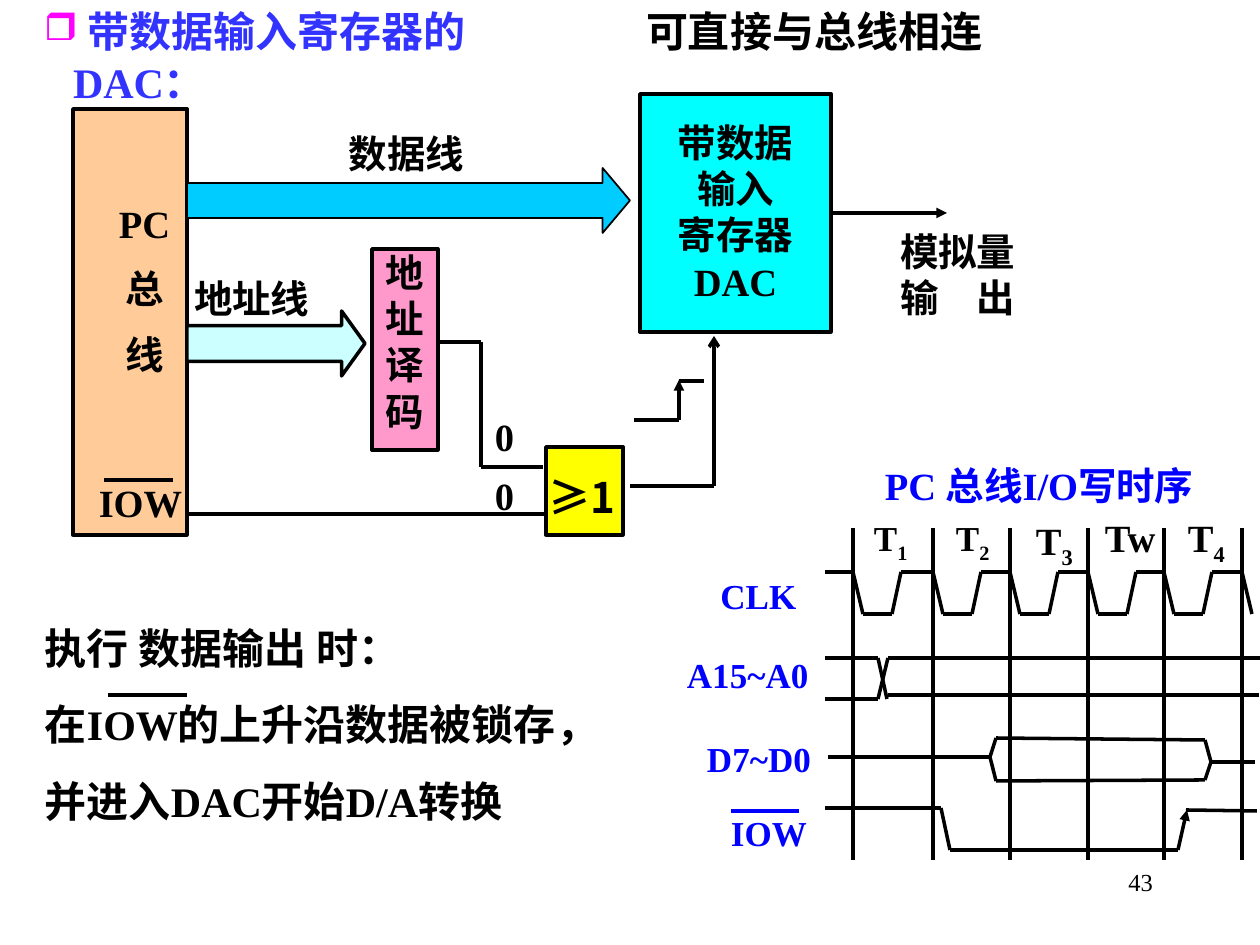
"""Build the slide on a DAC with an input register and its bus write timing."""
from lxml import etree
from pptx import Presentation
from pptx.dml.color import RGBColor
from pptx.enum.shapes import MSO_CONNECTOR, MSO_SHAPE
from pptx.enum.text import MSO_ANCHOR, PP_ALIGN
from pptx.oxml import parse_xml
from pptx.oxml.ns import nsdecls, qn
from pptx.util import Emu, Pt

PX = 914400 / 126
BLACK = RGBColor(0, 0, 0)
BLUE = RGBColor(0, 0, 255)
TITLE = RGBColor(0x33, 0x33, 0xFF)
PEACH = RGBColor(0xFF, 0xCC, 0x99)
PINK = RGBColor(0xFF, 0x99, 0xCC)
CYAN = RGBColor(0, 255, 255)
YELLOW = RGBColor(255, 255, 0)
SKY = RGBColor(0, 0xCC, 255)
PALE = RGBColor(0xCC, 255, 255)
LEFT, MID, RIGHT = PP_ALIGN.LEFT, PP_ALIGN.CENTER, PP_ALIGN.RIGHT
TOP = MSO_ANCHOR.TOP
RECT, ARROW = MSO_SHAPE.RECTANGLE, MSO_SHAPE.RIGHT_ARROW
STRAIGHT = MSO_CONNECTOR.STRAIGHT
SERIF, SANS = "Times New Roman", "Noto Sans CJK SC"

deck = Presentation()
deck.slide_width, deck.slide_height = Emu(9144000), Emu(6858000)
slide = deck.slides.add_slide(deck.slide_layouts[6])
shapes = slide.shapes


def write(shape, words, size, color=BLACK, align=LEFT, gap=0, face=SERIF, bold=True):
    frame = shape.text_frame
    frame.word_wrap = True
    frame.vertical_anchor = TOP
    frame.margin_left = frame.margin_right = frame.margin_top = frame.margin_bottom = 0
    for i, line in enumerate(words.split("\n")):
        para = frame.add_paragraph() if i else frame.paragraphs[0]
        if i and gap:
            para.space_before = Pt(gap)
        para.alignment = align
        font = para.font
        font.name, font.size, font.bold = face, Pt(size), bold
        font.color.rgb = color
        for j, part in enumerate(line.split("|")):
            run = para.add_run()
            run.text = part
            if j:
                run._r.get_or_add_rPr().set("baseline", "-25000")


def trace(points, color=BLACK, head=None, width=2):
    for start, end in zip(points, points[1:]):
        line = shapes.add_connector(STRAIGHT, *[Emu(round(v * PX)) for v in start + end])
        line.line.color.rgb = color
        line.line.width = Pt(width)
        etree.SubElement(line._element.spPr, qn("a:effectLst"))
    if head:
        etree.SubElement(line.line._get_or_add_ln(), qn("a:tailEnd"), type=head)
    return line


boxes = {}
for name, kind, x, y, w, h, fill, width in [
    ("bus", RECT, 73, 109, 114, 426, PEACH, 2),
    ("code", RECT, 372, 249, 66, 201, PINK, 2),
    ("addr", ARROW, 187, 311, 178, 65, PALE, 2),
    ("dac", RECT, 640, 94, 191, 238, CYAN, 2),
    ("data", ARROW, 187, 168, 443, 65, SKY, 1),
    ("gate", RECT, 546, 447, 77, 88, YELLOW, 2),
]:
    box = shapes.add_shape(kind, *[Emu(round(v * PX)) for v in (x, y, w, h)])
    box.shadow.inherit = False
    box.fill.solid()
    box.fill.fore_color.rgb = fill
    box.line.color.rgb = BLACK
    box.line.width = Pt(width)
    boxes[name] = box
boxes["addr"].adjustments[0], boxes["addr"].adjustments[1] = 0.55, 0.36
boxes["data"].adjustments[0], boxes["data"].adjustments[1] = 0.54, 0.42
write(boxes["code"], "地\n址\n译\n码", 22, align=MID)
write(boxes["dac"], "带数据\n输入\n寄存器\nDAC", 22, align=MID)
boxes["dac"].text_frame.margin_top = Emu(round(25 * PX))

out = trace([(831, 213), (947, 213)], head="triangle")
out.begin_connect(boxes["dac"], 3)
for points, head in [
    ([(187, 514), (546, 514)], None),
    ([(438, 342), (481, 342), (481, 467), (543, 467)], None),
    ([(630, 486), (714, 486), (714, 336)], "arrow"),
    ([(634, 420), (679, 420), (679, 380)], "triangle"),
    ([(679, 381), (704, 381)], None),
]:
    trace(points, head=head)

clock = [(825, 572)]
for x in (853, 933, 1010, 1088, 1164, 1242):
    trace([(x, 528), (x, 860)])
    clock += [(x, 572), (x + 10, 614), (x + 39, 614), (x + 48, 572)]
trace(clock[:-2])

for points, head in [
    ([(825, 658), (878, 658), (887, 699)], None),
    ([(825, 699), (878, 699), (888, 658), (1260, 658)], None),
    ([(888, 695), (1259, 695)], None),
    ([(828, 757), (990, 757), (996, 738), (1205, 740), (1211, 762), (1255, 762)], None),
    ([(990, 757), (996, 781), (1205, 780), (1211, 762)], None),
    ([(825, 808), (941, 808), (950, 850), (1178, 850), (1187, 810)], "triangle"),
    ([(1186, 810), (1257, 811)], None),
]:
    trace(points, head=head)

for x, end, y, color, width in [
    (104, 173, 480, BLACK, 2), (108, 187, 695, BLACK, 2.25), (731, 799, 811, BLUE, 2)
]:
    trace([(x, y), (end, y)], color, width=width)

notes = {}
for x, y, w, h, words, size, color, align, gap in [
    (885, 462, 350, 53, "PC 总线I/O写时序", 22, BLUE, LEFT, 0),
    (687, 654, 139, 40, "A15~A0", 20, BLUE, LEFT, 0),
    (714, 575, 89, 52, "CLK", 20, BLUE, MID, 0),
    (719, 811, 100, 42, "IOW", 20, BLUE, MID, 0),
    (707, 738, 118, 40, "D7~D0", 20, BLUE, LEFT, 0),
    (874, 517, 48, 63, "T|1", 20, BLACK, LEFT, 0),
    (956, 517, 48, 63, "T|2", 20, BLACK, LEFT, 0),
    (1036, 517, 48, 63, "T|3", 22, BLACK, LEFT, 0),
    (1105, 514, 56, 63, "Tw", 22, BLACK, LEFT, 0),
    (1188, 514, 48, 63, "T|4", 22, BLACK, LEFT, 0),
    (113, 200, 63, 228, "PC\n总\n线", 22, BLACK, MID, 11),
    (349, 130, 135, 49, "数据线", 22, BLACK, LEFT, 0),
    (194, 275, 135, 49, "地址线", 22, BLACK, LEFT, 0),
    (86, 479, 96, 43, "IOW", 22, BLACK, RIGHT, 0),
    (495, 413, 24, 49, "0", 22, BLACK, LEFT, 0),
    (495, 472, 24, 49, "0", 22, BLACK, LEFT, 0),
    (900, 228, 135, 96, "模拟量\n输　出", 22, BLACK, LEFT, 0),
    (45, 622, 620, 205, "执行 数据输出 时：\n在IOW的上升沿数据被锁存，\n并进入DAC开始D/A转换", 24, BLACK, LEFT, 15),
    (646, 6, 360, 51, "可直接与总线相连", 24, BLACK, LEFT, 0),
]:
    note = shapes.add_textbox(*[Emu(round(v * PX)) for v in (x, y, w, h)])
    write(note, words, size, color, align, gap)
    notes[words] = note

run = notes["可直接与总线相连"].text_frame.paragraphs[0].runs[0]
run._r.get_or_add_rPr().append(parse_xml(
    f'<a:effectLst {nsdecls("a")}><a:outerShdw blurRad="38100" dist="38100" dir="2700000">'
    '<a:srgbClr val="C0C0C0"/></a:outerShdw></a:effectLst>'))

head = shapes.add_textbox(*[Emu(round(v * PX)) for v in (44, 6, 500, 102)])
props = head.text_frame.paragraphs[0]._p.get_or_add_pPr()
props.set("marL", str(round(29 * PX)))
props.set("indent", str(round(-29 * PX)))
for mark in (
    '<a:buClr {}><a:srgbClr val="FF00FF"/></a:buClr>',
    '<a:buSzPct {} val="90000"/>',
    '<a:buChar {} char="❒"/>',
):
    props.append(parse_xml(mark.format(nsdecls("a"))))
write(head, " 带数据输入寄存器的DAC：", 24, TITLE)

sign = shapes.add_textbox(*[Emu(round(v * PX)) for v in (549, 441, 67, 160)])
write(sign, "≥1", 24, face=SANS)
sign.text_frame.paragraphs[0].line_spacing = 1.6

page = shapes.add_textbox(*[Emu(round(v * PX)) for v in (903, 867, 250, 50)])
write(page, "43", 14, align=RIGHT, bold=False)

deck.save("out.pptx")
